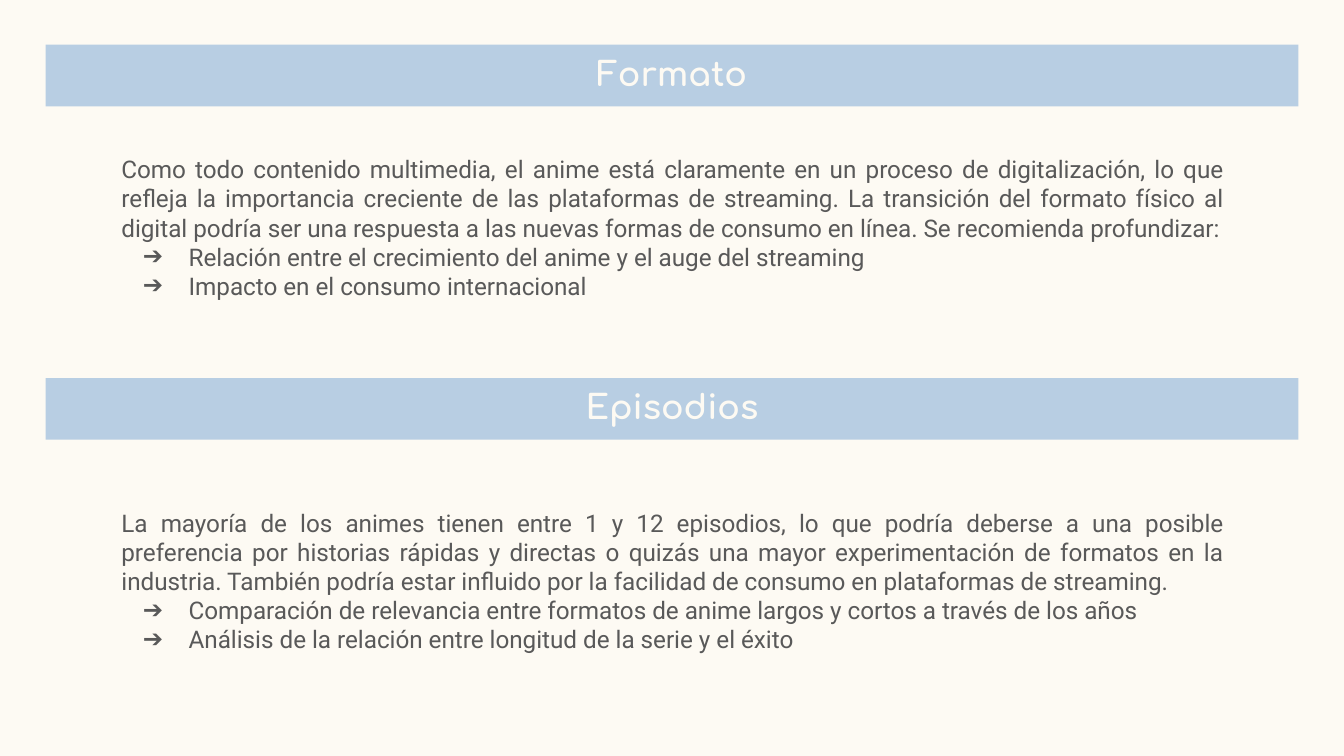
from dataclasses import dataclass

from lxml.etree import SubElement
from pptx import Presentation
from pptx.dml.color import RGBColor
from pptx.enum.shapes import MSO_SHAPE
from pptx.enum.text import MSO_ANCHOR, MSO_AUTO_SIZE, PP_ALIGN
from pptx.oxml.ns import qn
from pptx.util import Inches, Pt

SECTIONS = [
    {
        "title": "Formato",
        "text": "Como todo contenido multimedia, el anime está claramente en un proceso de "
                "digitalización, lo que refleja la importancia creciente de las plataformas de "
                "streaming. La transición del formato físico al digital podría ser una respuesta a "
                "las nuevas formas de consumo en línea. Se recomienda profundizar:",
        "points": [
            "Relación entre el crecimiento del anime y el auge del streaming",
            "Impacto en el consumo internacional",
        ],
        "body_rows": (10.5, 15.2),  # first row, row count
    },
    {
        "title": "Episodios",
        "text": "La mayoría de los animes tienen entre 1 y 12 episodios, lo que podría deberse a "
                "una posible preferencia por historias rápidas y directas o quizás una mayor "
                "experimentación de formatos en la industria. También podría estar influido por la "
                "facilidad de consumo en plataformas de streaming.",
        "points": [
            "Comparación de relevancia entre formatos de anime largos y cortos a través de los años",
            "Análisis de la relación entre longitud de la serie y el éxito",
        ],
        "body_rows": (36.8, 17.3),
    },
]


@dataclass(frozen=True)
class Theme:
    cream: RGBColor = RGBColor.from_string("FDFAF3")
    blue: RGBColor = RGBColor.from_string("B8CEE3")
    gray: RGBColor = RGBColor.from_string("595959")
    title_font: str = "Comfortaa"
    body_font: str = "Roboto"
    title_size: int = 18
    body_size: int = 13


THEME = Theme()

# Square grid on a 16:9 slide
CELL = Inches(0.1)
COLUMNS = 100
ROWS = COLUMNS * 9 / 16
BANNER_MARGIN, BODY_MARGIN = 3.4, 8.05
BANNER_TOP, BANNER_HEIGHT, SECTION_PITCH = 3.33, 4.6, 24.8
BULLET_INDENT, BULLET_HANG = 5, 3.4


def cells(count):
    return round(count * CELL)


def centered_box(margin, top, height):
    """Left, top, width and height of a box with equal side margins."""
    return cells(margin), cells(top), cells(COLUMNS - 2 * margin), cells(height)


def set_insets(frame):
    frame.word_wrap = True
    frame.margin_left = frame.margin_right = CELL
    frame.margin_top = frame.margin_bottom = CELL


def add_run(paragraph, text, font, size, color, bold=False):
    run = paragraph.add_run()
    run.text = text
    run.font.name = font
    run.font.size = Pt(size)
    run.font.color.rgb = color
    run.font.bold = bold


def add_bullet(paragraph):
    properties = paragraph._p.get_or_add_pPr()
    properties.set("marL", str(cells(BULLET_INDENT)))
    properties.set("indent", str(-cells(BULLET_HANG)))
    color = SubElement(properties, qn("a:buClr"))
    SubElement(color, qn("a:srgbClr"), val=str(THEME.gray))
    SubElement(properties, qn("a:buFont"), typeface=THEME.body_font)
    SubElement(properties, qn("a:buChar"), char="➔")


def add_banner(slide, title, top):
    shape = slide.shapes.add_shape(
        MSO_SHAPE.RECTANGLE, *centered_box(BANNER_MARGIN, top, BANNER_HEIGHT))
    shape.shadow.inherit = False
    shape.fill.solid()
    shape.fill.fore_color.rgb = THEME.blue
    shape.line.fill.background()
    frame = shape.text_frame
    set_insets(frame)
    frame.vertical_anchor = MSO_ANCHOR.BOTTOM
    paragraph = frame.paragraphs[0]
    paragraph.alignment = PP_ALIGN.CENTER
    add_run(paragraph, title, THEME.title_font, THEME.title_size, THEME.cream, bold=True)


def add_body(slide, text, points, top, height):
    frame = slide.shapes.add_textbox(*centered_box(BODY_MARGIN, top, height)).text_frame
    set_insets(frame)
    frame.auto_size = MSO_AUTO_SIZE.SHAPE_TO_FIT_TEXT
    for index, line in enumerate([text, *points]):
        paragraph = frame.add_paragraph() if index else frame.paragraphs[0]
        paragraph.alignment = PP_ALIGN.JUSTIFY
        if index:
            add_bullet(paragraph)
        add_run(paragraph, line, THEME.body_font, THEME.body_size, THEME.gray)


def main():
    presentation = Presentation()
    presentation.slide_width = cells(COLUMNS)
    presentation.slide_height = cells(ROWS)
    slide = presentation.slides.add_slide(presentation.slide_layouts[6])
    slide.background.fill.solid()
    slide.background.fill.fore_color.rgb = THEME.cream
    for index, section in enumerate(SECTIONS):
        add_banner(slide, section["title"], BANNER_TOP + index * SECTION_PITCH)
        add_body(slide, section["text"], section["points"], *section["body_rows"])
    presentation.save("out.pptx")


if __name__ == "__main__":
    main()
